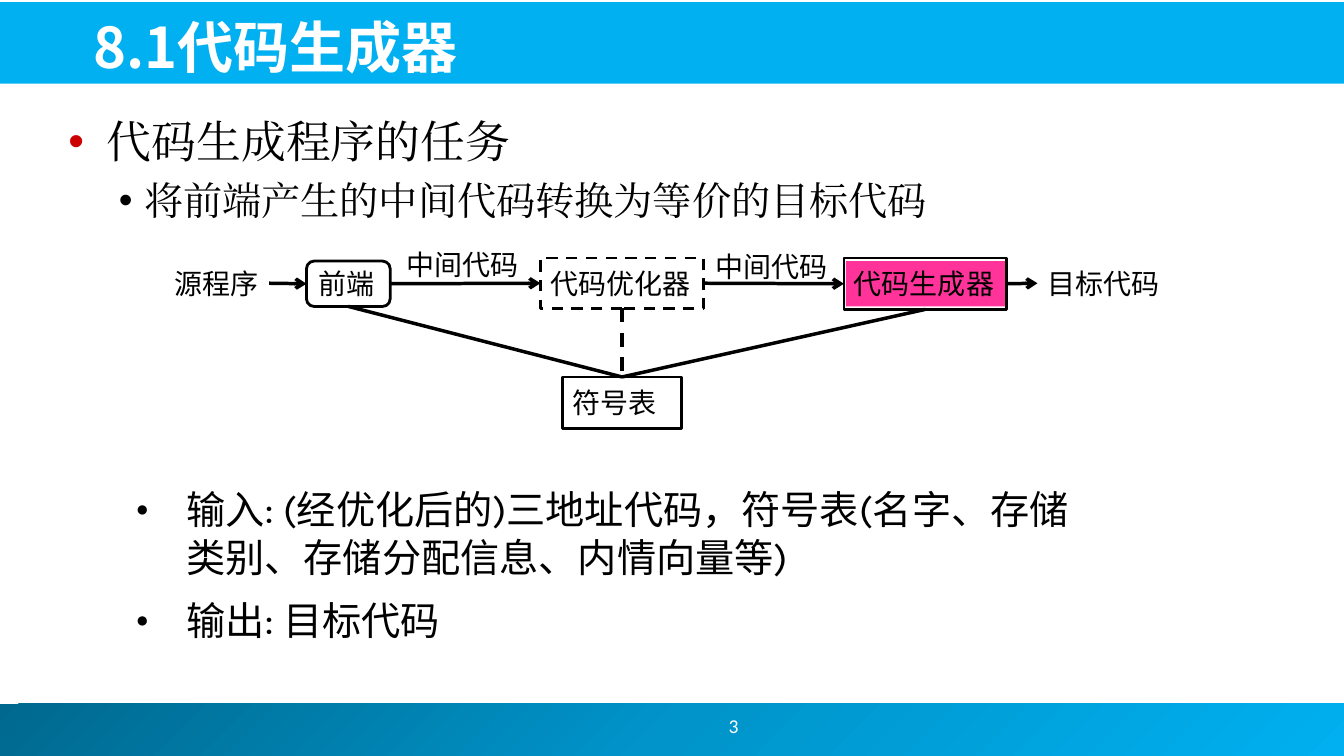
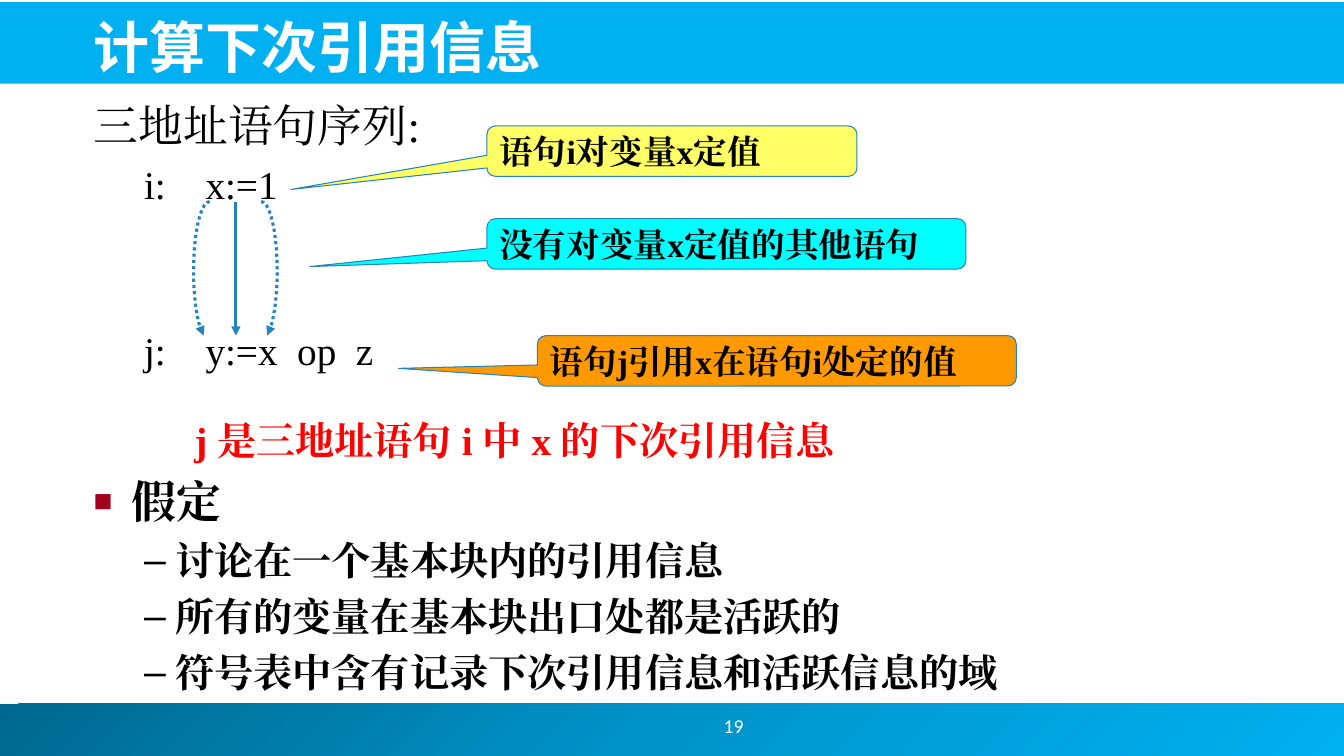
from lxml import etree
from pptx import Presentation
from pptx.dml.color import RGBColor
from pptx.enum.dml import MSO_LINE
from pptx.enum.shapes import MSO_CONNECTOR, MSO_SHAPE
from pptx.enum.text import MSO_ANCHOR, PP_ALIGN
from pptx.oxml import parse_xml
from pptx.oxml.ns import nsdecls, qn
from pptx.util import Inches, Pt

COLORS = {
    "black": "000000", "white": "FFFFFF", "band": "00B0F0", "deep": "00688E",
    "middle": "0094CA", "outline": "2584BB", "pink": "FF3399", "red": "FF0000",
    "bullet_red": "CC0000", "bullet_wine": "A4001D", "yellow": "FFFF66",
    "cyan": "00FFFF", "orange": "FF9900",
}
SANS, SERIF, BODY, NUMBER = "Noto Sans CJK JP", "Times New Roman", "Karla", "Calibri"
TOP, LEFT, BOTTOM, RIGHT = range(4)


def rgb(name):
    return RGBColor.from_string(COLORS[name])


def item(text, size, margin=0, hang=0, bullet=None, bullet_color="black",
         bullet_size=100, color="black", gap=0.23):
    return dict(text=text, size=size, margin=margin, hang=hang, bullet=bullet,
                bullet_color=bullet_color, bullet_size=bullet_size,
                color=color, gap=gap)


def bezier(start, first, second, end, steps=10):
    points = []
    for step in range(1, steps + 1):
        t = step / steps
        weights = ((1 - t) ** 3, 3 * t * (1 - t) ** 2, 3 * t * t * (1 - t), t ** 3)
        corners = (start, first, second, end)
        points.append(tuple(sum(w * c[axis] for w, c in zip(weights, corners))
                            for axis in (0, 1)))
    return points


class SlideBuilder:
    def __init__(self):
        self.deck = Presentation()
        self.deck.slide_width = Inches(13.33)
        self.deck.slide_height = Inches(7.5)
        self.page = None

    def start_page(self, title, number):
        self.page = self.deck.slides.add_slide(self.deck.slide_layouts[6])
        footer = self.shape((-0.05, 6.98, 13.39, 0.52), fill="deep")
        self.gradient(footer, ("deep", "middle", "band"))
        self.shape((-0.02, 0.02, 13.36, 0.81), fill="band")
        self.text((5.83, 6.95, 2.89, 0.5), number, 14, NUMBER, "white",
                  anchor=MSO_ANCHOR.MIDDLE, align=PP_ALIGN.CENTER)
        self.text((0.83, 0.05, 12.06, 0.79), title, 40, SANS, "white", True,
                  anchor=MSO_ANCHOR.BOTTOM)

    def gradient(self, shape, names):
        stops = "".join(
            f'<a:gs pos="{100000 * i // (len(names) - 1)}">'
            f'<a:srgbClr val="{COLORS[name]}"/></a:gs>'
            for i, name in enumerate(names))
        fill = parse_xml(f'<a:gradFill {nsdecls("a")} rotWithShape="1"><a:gsLst>{stops}'
                         '</a:gsLst><a:lin ang="2700000" scaled="0"/></a:gradFill>')
        properties = shape.element.spPr
        properties.replace(properties.find(qn("a:solidFill")), fill)

    def style_line(self, line, color, width, dash=None, head=None):
        line.color.rgb = rgb(color)
        line.width = Pt(width)
        if dash:
            line.dash_style = dash
        if head:
            etree.SubElement(line._get_or_add_ln(), qn("a:tailEnd"), type=head)

    def style_para(self, para, size, font, color, bold=False, align=PP_ALIGN.LEFT):
        para.alignment = align
        for span in para.runs:
            span.font.size = Pt(size)
            span.font.name = font
            span.font.bold = bold
            span.font.color.rgb = rgb(color)
            for tag in ("a:ea", "a:cs"):
                etree.SubElement(span.font._element, qn(tag), typeface=font)

    def text(self, area, text, size=20, font=SANS, color="black", bold=False,
             anchor=MSO_ANCHOR.TOP, align=PP_ALIGN.LEFT, wrap=True):
        box = self.page.shapes.add_textbox(*map(Inches, area))
        frame = box.text_frame
        frame.word_wrap = wrap
        frame.vertical_anchor = anchor
        frame.text = text
        self.style_para(frame.paragraphs[0], size, font, color, bold, align)
        return box

    def shape(self, area, kind=MSO_SHAPE.RECTANGLE, fill=None, line=None, width=2,
              dash=None, text=None, size=20, font=SANS, bold=False, wrap=True,
              adjust=()):
        box = self.page.shapes.add_shape(kind, *map(Inches, area))
        box.shadow.inherit = False
        for index, value in enumerate(adjust):
            box.adjustments[index] = value
        if fill:
            box.fill.solid()
            box.fill.fore_color.rgb = rgb(fill)
        else:
            box.fill.background()
        if line:
            self.style_line(box.line, line, width, dash)
        else:
            box.line.fill.background()
        if text:
            frame = box.text_frame
            frame.word_wrap = wrap
            frame.vertical_anchor = MSO_ANCHOR.MIDDLE
            frame.text = text
            self.style_para(frame.paragraphs[0], size, font, "black", bold)
        return box

    def callout(self, area, text, fill, pointer):
        self.shape(area, MSO_SHAPE.ROUNDED_RECTANGULAR_CALLOUT, fill, "outline", 0.75,
                   text=text, size=24, font=SERIF, bold=True, wrap=False,
                   adjust=(*pointer, 0.167))

    def items(self, area, entries, font=SERIF, bold=False):
        box = self.page.shapes.add_textbox(*map(Inches, area))
        frame = box.text_frame
        frame.word_wrap = True
        for index, entry in enumerate(entries):
            para = frame.add_paragraph() if index else frame.paragraphs[0]
            para.text = entry["text"]
            self.style_para(para, entry["size"], font, entry["color"], bold)
            para.space_before = Pt(round(entry["size"] * entry["gap"], 1))
            properties = para._p.get_or_add_pPr()
            properties.set("marL", str(Inches(entry["margin"])))
            properties.set("indent", str(-Inches(entry["hang"])))
            if entry["bullet"]:
                color = etree.SubElement(properties, qn("a:buClr"))
                etree.SubElement(color, qn("a:srgbClr"), val=COLORS[entry["bullet_color"]])
                etree.SubElement(properties, qn("a:buSzPct"),
                                 val=str(entry["bullet_size"] * 1000))
                etree.SubElement(properties, qn("a:buFont"), typeface="Arial")
                etree.SubElement(properties, qn("a:buChar"), char=entry["bullet"])

    def connector(self, start, end, color="black", width=2.5, dash=None, head=None):
        link = self.page.shapes.add_connector(
            MSO_CONNECTOR.STRAIGHT, *(Inches(value) for value in (*start, *end)))
        self.style_line(link.line, color, width, dash, head)
        etree.SubElement(link._element.spPr, qn("a:effectLst"))
        return link

    def join(self, source, source_side, target, target_side, dash=None, head=None):
        link = self.connector((0, 0), (1, 1), dash=dash, head=head)
        link.begin_connect(source, source_side)
        link.end_connect(target, target_side)

    def curve(self, points):
        scaled = [(Inches(x), Inches(y)) for x, y in points]
        builder = self.page.shapes.build_freeform(*scaled[0], scale=1.0)
        builder.add_line_segments(scaled[1:], close=False)
        arc = builder.convert_to_shape()
        arc.shadow.inherit = False
        arc.fill.background()
        self.style_line(arc.line, "outline", 2.25, MSO_LINE.ROUND_DOT, "triangle")


def build_generator_page(slides):
    slides.start_page("8.1代码生成器", "3")
    slides.items((0.58, 1.08, 10.75, 1.25), [
        item("代码生成程序的任务", 32, 0.38, 0.38, "•", "bullet_red"),
        item("将前端产生的中间代码转换为等价的目标代码", 28, 0.75, 0.25, "•"),
    ])
    slides.shape((8.39, 2.59, 1.58, 0.45), fill="pink")
    source = slides.text((1.63, 2.59, 1.04, 0.44), "源程序", wrap=False)
    front = slides.shape((3.04, 2.59, 0.83, 0.45), MSO_SHAPE.ROUNDED_RECTANGLE,
                         line="black", text="前端", adjust=(0.167,))
    optimizer = slides.shape((5.36, 2.56, 1.62, 0.5), line="black",
                             dash=MSO_LINE.DASH, text="代码优化器")
    generator = slides.shape((8.37, 2.56, 1.61, 0.51), line="black", text="代码生成器")
    target = slides.text((10.29, 2.59, 1.38, 0.44), "目标代码")
    symbols = slides.shape((5.58, 3.74, 1.18, 0.51), line="black", text="符号表")

    stages = (source, front, optimizer, generator, target)
    for before, after in zip(stages, stages[1:]):
        slides.join(before, RIGHT, after, LEFT, head="arrow")
    for stage, dash in ((front, None), (optimizer, MSO_LINE.DASH), (generator, None)):
        slides.join(stage, BOTTOM, symbols, TOP, dash=dash)
    for left, top in ((3.93, 2.41), (7, 2.43)):
        slides.text((left, top, 1.32, 0.44), "中间代码", wrap=False)

    notes = (
        ((1.25, 4.77, 9.83, 1),
         "输入: (经优化后的)三地址代码，符号表(名字、存储类别、存储分配信息、内情向量等)"),
        ((1.25, 5.87, 9.75, 0.71), "输出: 目标代码"),
    )
    for area, text in notes:
        slides.items(area, [item(text, 28, 0.5, 0.5, "●", bullet_size=55)], BODY)


def build_next_use_page(slides):
    slides.start_page("计算下次引用信息", "19")
    slides.items((0.83, 0.92, 5.05, 3.08), [
        item("三地址语句序列:", 32, 0.38, 0.38),
        item("i:\tx:=1", 28, 1.11, 0.61),
        item("j:\ty:=x  op  z", 28, 1.11, 0.61, gap=3.02),
    ])
    assumptions = ("讨论在一个基本块内的引用信息", "所有的变量在基本块出口处都是活跃的",
                   "符号表中含有记录下次引用信息和活跃信息的域")
    slides.items((0.83, 4.08, 11.58, 2.78), [
        item("j 是三地址语句 i 中 x 的下次引用信息", 28, 1.25, 0.25, color="red"),
        item("假定", 32, 0.38, 0.38, "■", "bullet_wine", 70),
        *(item(text, 28, 0.81, 0.31, "–") for text in assumptions),
    ], bold=True)

    slides.callout((4.83, 1.25, 3.67, 0.5), "语句i对变量x定值", "yellow", (-1.03, 0.76))
    slides.callout((4.83, 2.17, 4.75, 0.5), "没有对变量x定值的其他语句", "cyan",
                   (-0.87, 0.45))
    slides.callout((5.33, 3.33, 4.75, 0.5), "语句j引用x在语句i处定的值", "orange",
                   (-0.79, 0.15))

    slides.connector((2.34, 2), (2.34, 3.33), "outline", 2.25, head="triangle")
    left_arc = [(2.08, 2),
                *bezier((2.08, 2), (1.99, 2), (1.92, 2.31), (1.92, 2.69)),
                *bezier((1.92, 2.69), (1.92, 2.97), (1.96, 3.23), (2.02, 3.33))]
    slides.curve(left_arc)
    slides.curve([(4.67 - x, y) for x, y in left_arc])


def main():
    slides = SlideBuilder()
    build_generator_page(slides)
    build_next_use_page(slides)
    slides.deck.save("out.pptx")


if __name__ == "__main__":
    main()
